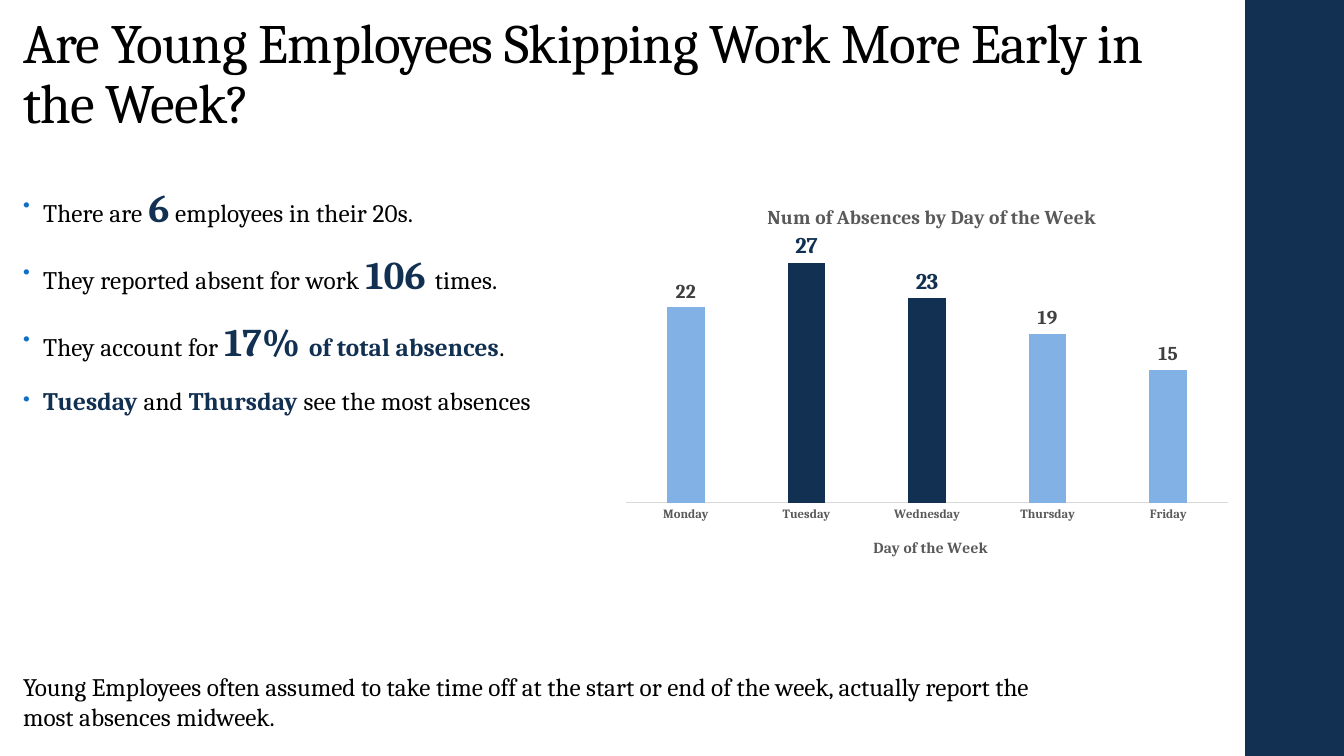
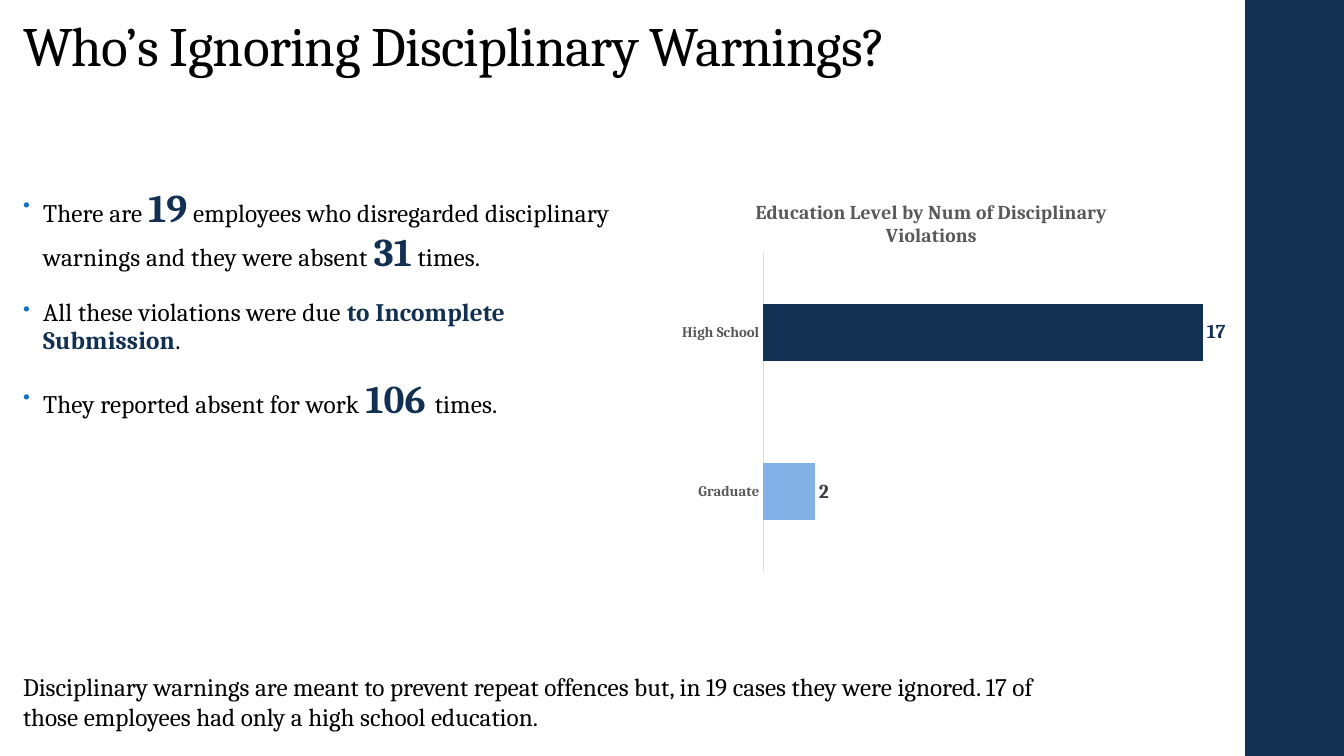
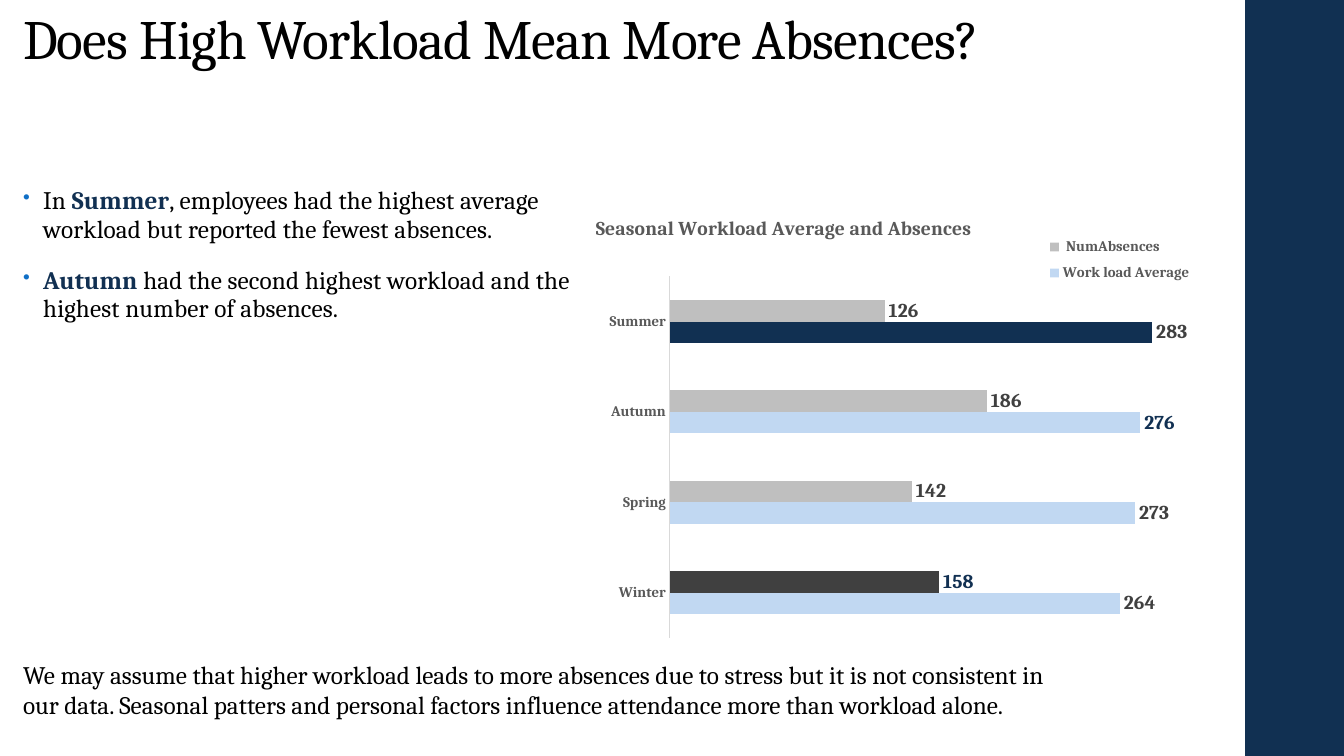
"""Build three slides on employee absences, each with bullets, a chart and a conclusion."""
import dataclasses
import typing

import lxml.etree
import pptx
import pptx.chart.data
import pptx.dml.color
import pptx.enum.chart
import pptx.enum.shapes
import pptx.enum.text
import pptx.oxml.ns
import pptx.util

Inches = pptx.util.Inches
Pt = pptx.util.Pt
qn = pptx.oxml.ns.qn
ChartType = pptx.enum.chart.XL_CHART_TYPE

FONT = "Cambria"
NAVY, BLACK, WHITE = "113052", "000000", "FFFFFF"
BLUE, PALE_BLUE, BULLET_BLUE = "82B1E5", "C1D8F2", "0F6FC6"
CHARCOAL, GREY, SILVER, RULE = "404040", "595959", "BFBFBF", "D9D9D9"
LEFT = 0.13
BODY_TOP = 1.8


class Span(typing.NamedTuple):
    text: str
    size: float = 18
    bold: bool = False
    color: str = BLACK


class Place(typing.NamedTuple):
    left: float
    top: float
    width: float
    height: float


@dataclasses.dataclass
class BarSeries:
    name: str
    values: list[int]
    color: str
    point_fills: dict[int, str]
    navy_labels: list[int]
    navy_size: float = 14


@dataclasses.dataclass
class BarChart:
    kind: typing.Any
    place: Place
    title: str
    title_at: tuple[float, float]
    plot: Place
    categories: list[str]
    series: list[BarSeries]
    maximum: int
    gap: int
    label_size: float = 10.5
    overlap: int = 0
    axis_title: str = ""
    axis_title_at: tuple[float, float] = (0, 0)
    legend: Place | None = None


@dataclasses.dataclass
class Page:
    title: str
    title_height: float
    bullets: list[list[Span]]
    body_width: float
    conclusion: str
    conclusion_top: float
    chart: BarChart


def strong(text: str) -> Span:
    return Span(text, bold=True, color=NAVY)


def figure(text: str) -> Span:
    return Span(text, size=28, bold=True, color=NAVY)


def rgb(color: str) -> pptx.dml.color.RGBColor:
    return pptx.dml.color.RGBColor.from_string(color)


def fill(target, color: str) -> None:
    target.fill.solid()
    target.fill.fore_color.rgb = rgb(color)


def style_font(font, size: float, color: str, bold: bool) -> None:
    font.name = FONT
    font.size = Pt(size)
    font.bold = bold
    font.color.rgb = rgb(color)


def add_text(para, text: str, *, size: float = 18, color: str = BLACK,
             bold: bool = False, spacing: float = 0) -> None:
    span = para.add_run()
    span.text = text
    style_font(span.font, size, color, bold)
    if spacing:
        span.font._element.set("spc", str(round(spacing * 100)))


def add_box(slide, place: Place):
    box = slide.shapes.add_textbox(*map(Inches, place))
    box.text_frame.word_wrap = True
    return box.text_frame


def add_bullet(para) -> None:
    para.line_spacing = 0.95
    para.space_before = Pt(14)
    para.space_after = Pt(2)
    properties = para._p.get_or_add_pPr()
    properties.set("marL", str(Inches(0.2)))
    properties.set("indent", str(Inches(-0.2)))
    color = lxml.etree.SubElement(properties, qn("a:buClr"))
    lxml.etree.SubElement(color, qn("a:srgbClr"), val=BULLET_BLUE)
    lxml.etree.SubElement(properties, qn("a:buSzPct"), val="80000")
    lxml.etree.SubElement(properties, qn("a:buChar"), char="•")


def set_layout(element, left: float, top: float,
               width: float | None = None, height: float | None = None) -> None:
    for old in element.findall(qn("c:layout")):
        element.remove(old)
    layout = lxml.etree.Element(qn("c:layout"))
    manual = lxml.etree.SubElement(layout, qn("c:manualLayout"))
    values = {"xMode": "edge", "yMode": "edge", "x": left, "y": top}
    if width is not None:
        values |= {"w": width, "h": height}
    if element.tag == qn("c:plotArea"):
        values = {"layoutTarget": "inner"} | values
    for name, value in values.items():
        lxml.etree.SubElement(manual, qn(f"c:{name}"), val=str(value))
    leaders = (qn("c:tx"), qn("c:legendPos"))
    position = sum(child.tag in leaders for child in element)
    element.insert(position, layout)


def add_chart_title(title, text: str, size: float, at: tuple[float, float]) -> None:
    add_text(title.text_frame.paragraphs[0], text, size=size, color=GREY, bold=True)
    set_layout(title._element, *at)


def style_series(series, style: BarSeries) -> None:
    outside = pptx.enum.chart.XL_LABEL_POSITION.OUTSIDE_END
    fill(series.format, style.color)
    series.invert_if_negative = False
    for index, color in style.point_fills.items():
        fill(series.points[index].format, color)
    labels = series.data_labels
    labels.show_value = True
    labels.position = outside
    style_font(labels.font, 14, CHARCOAL, True)
    for index in style.navy_labels:
        label = series.points[index].data_label
        style_font(label.font, style.navy_size, NAVY, True)
        label.position = outside


def add_bar_chart(slide, spec_sheet: BarChart) -> None:
    data = pptx.chart.data.CategoryChartData(number_format="0")
    data.categories = spec_sheet.categories
    for style in spec_sheet.series:
        data.add_series(style.name, style.values)
    frame = slide.shapes.add_chart(spec_sheet.kind, *map(Inches, spec_sheet.place), data)
    chart = frame.chart
    style_font(chart.font, 10, BLACK, False)
    chart.has_title = True
    add_chart_title(chart.chart_title, spec_sheet.title, 14, spec_sheet.title_at)
    set_layout(chart._chartSpace.chart.plotArea, *spec_sheet.plot)

    plot = chart.plots[0]
    plot.gap_width = spec_sheet.gap
    plot.overlap = spec_sheet.overlap
    plot.vary_by_categories = False
    for series, style in zip(plot.series, spec_sheet.series):
        style_series(series, style)

    values = chart.value_axis
    values.minimum_scale = 0
    values.maximum_scale = spec_sheet.maximum
    values.has_major_gridlines = False
    values.visible = False
    axis = chart.category_axis
    axis.major_tick_mark = pptx.enum.chart.XL_TICK_MARK.NONE
    axis.format.line.color.rgb = rgb(RULE)
    axis.format.line.width = Pt(0.75)
    style_font(axis.tick_labels.font, spec_sheet.label_size, GREY, True)
    if spec_sheet.axis_title:
        add_chart_title(axis.axis_title, spec_sheet.axis_title, 11, spec_sheet.axis_title_at)

    chart.has_legend = spec_sheet.legend is not None
    if spec_sheet.legend:
        chart.legend.position = pptx.enum.chart.XL_LEGEND_POSITION.RIGHT
        chart.legend.include_in_layout = False
        style_font(chart.legend.font, 10.5, GREY, True)
        set_layout(chart.legend._element, *spec_sheet.legend)


def add_band(slide) -> None:
    band = slide.shapes.add_shape(
        pptx.enum.shapes.MSO_SHAPE.RECTANGLE,
        Inches(12.35), Inches(0), Inches(0.98), Inches(7.5))
    band.shadow.inherit = False
    fill(band, NAVY)
    band.line.fill.background()


def add_page(deck, page: Page) -> None:
    slide = deck.slides.add_slide(deck.slide_layouts[6])
    fill(slide.background, WHITE)
    add_band(slide)

    title = add_box(slide, Place(LEFT, 0.18, 11.85, page.title_height))
    title.vertical_anchor = pptx.enum.text.MSO_ANCHOR.BOTTOM
    title.paragraphs[0].line_spacing = 0.9
    add_text(title.paragraphs[0], page.title, size=39.6, spacing=-0.5)

    conclusion = add_box(slide, Place(LEFT, page.conclusion_top, 10.48, 0.71))
    add_text(conclusion.paragraphs[0], page.conclusion)

    body = add_box(slide, Place(LEFT, BODY_TOP, page.body_width, 4.76))
    for number, spans in enumerate(page.bullets):
        para = body.add_paragraph() if number else body.paragraphs[0]
        add_bullet(para)
        for span in spans:
            add_text(para, span.text, size=span.size, color=span.color,
                     bold=span.bold, spacing=0.1)
    add_bar_chart(slide, page.chart)


REPORTED_ABSENT = [Span("They reported absent for work "), figure("106 "), Span("times.")]

PAGES = [
    Page(
        title="Are Young Employees Skipping Work More Early in the Week?",
        title_height=1.21,
        bullets=[
            [Span("There are "), figure("6"), Span(" employees in their 20s.")],
            REPORTED_ABSENT,
            [Span("They account for "), figure("17% "),
             strong("of total absences"), Span(".")],
            [strong("Tuesday"), Span(" and "), strong("Thursday "),
             Span("see the most absences")],
        ],
        body_width=6.08,
        conclusion="Young Employees often assumed to take time off at the start or end of "
                   "the week, actually report the most absences midweek.",
        conclusion_top=6.61,
        chart=BarChart(
            kind=ChartType.COLUMN_CLUSTERED,
            place=Place(6.08, 1.8, 6.23, 3.89),
            title="Num of Absences by Day of the Week",
            title_at=(0.24, 0.05),
            plot=Place(0.02, 0.14, 0.96, 0.68),
            categories=["Monday", "Tuesday", "Wednesday", "Thursday", "Friday"],
            series=[BarSeries("Series 1", [22, 27, 23, 19, 15], BLUE,
                              {1: NAVY, 2: NAVY}, [1, 2], navy_size=16)],
            maximum=30,
            gap=219,
            label_size=9,
            overlap=-27,
            axis_title="Day of the Week",
            axis_title_at=(0.41, 0.9),
        ),
    ),
    Page(
        title="Who’s Ignoring Disciplinary Warnings?",
        title_height=0.65,
        bullets=[
            [Span("There are "), figure("19"),
             Span(" employees who disregarded disciplinary warnings and they were absent "),
             figure("31"), Span(" times.")],
            [Span("All these violations were due "),
             strong("to Incomplete Submission"), Span(".")],
            REPORTED_ABSENT,
        ],
        body_width=6.08,
        conclusion="Disciplinary warnings are meant to prevent repeat offences but, in 19 "
                   "cases they were ignored. 17 of those employees had only a high school "
                   "education.",
        conclusion_top=6.61,
        chart=BarChart(
            kind=ChartType.BAR_CLUSTERED,
            place=Place(6.67, 1.7, 5.63, 4.05),
            title="Education Level by Num of Disciplinary Violations",
            title_at=(0.14, 0.06),
            plot=Place(0.16, 0.2, 0.82, 0.78),
            categories=["Graduate", "High School"],
            series=[BarSeries("Series 1", [2, 17], BLUE, {1: NAVY}, [1])],
            maximum=18,
            gap=182,
        ),
    ),
    Page(
        title="Does High Workload Mean More Absences?",
        title_height=0.58,
        bullets=[
            [Span("In "), strong("Summer"),
             Span(", employees had the highest average workload but reported the "
                  "fewest absences.")],
            [strong("Autumn"),
             Span(" had the second highest workload and the highest number of absences.")],
        ],
        body_width=5.69,
        conclusion="We may assume that higher workload leads to more absences due to stress "
                   "but it is not consistent in our data. Seasonal patters and personal "
                   "factors influence attendance more than workload alone.",
        conclusion_top=6.49,
        chart=BarChart(
            kind=ChartType.BAR_CLUSTERED,
            place=Place(5.81, 1.96, 6.42, 4.6),
            title="Seasonal Workload Average and Absences",
            title_at=(0.01, 0.03),
            plot=Place(0.13, 0.17, 0.79, 0.78),
            categories=["Winter", "Spring", "Autumn", "Summer"],
            series=[
                BarSeries("Work load Average", [264, 273, 276, 283], PALE_BLUE,
                          {3: NAVY}, [2]),
                BarSeries(" NumAbsences", [158, 142, 186, 126], SILVER,
                          {0: CHARCOAL}, [0]),
            ],
            maximum=300,
            gap=219,
            legend=Place(0.7, 0.07, 0.25, 0.13),
        ),
    ),
]


def main() -> None:
    deck = pptx.Presentation()
    deck.slide_width = Inches(13.33)
    deck.slide_height = Inches(7.5)
    for page in PAGES:
        add_page(deck, page)
    deck.save("out.pptx")


if __name__ == "__main__":
    main()
